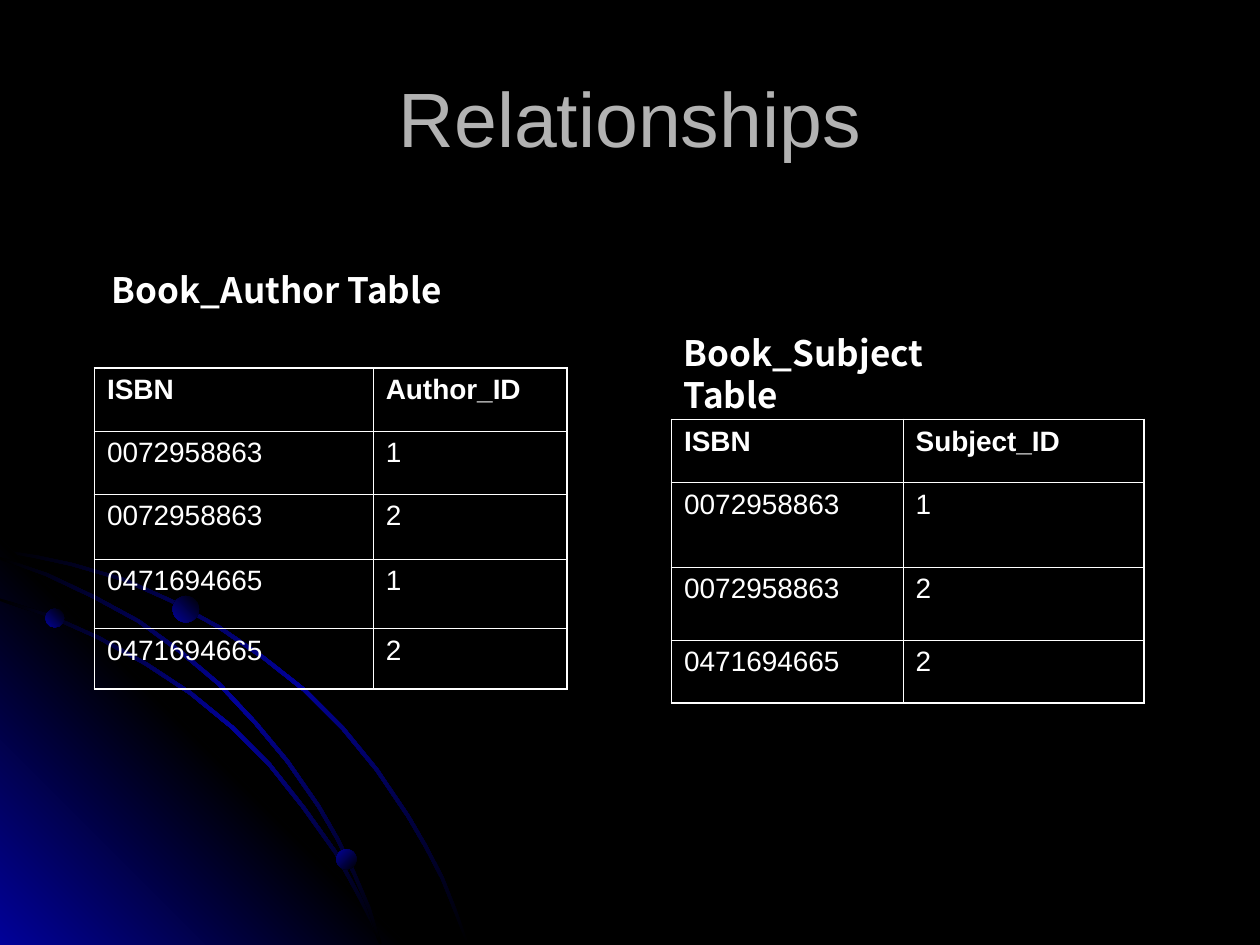
from dataclasses import dataclass
from typing import NamedTuple

from lxml import etree
from pptx import Presentation
from pptx.dml.color import RGBColor
from pptx.enum.shapes import MSO_SHAPE
from pptx.enum.text import MSO_ANCHOR, PP_ALIGN
from pptx.oxml.ns import qn
from pptx.util import Inches, Pt

OVAL = MSO_SHAPE.OVAL
MIDDLE, TOP = MSO_ANCHOR.MIDDLE, MSO_ANCHOR.TOP
CENTER, LEFT = PP_ALIGN.CENTER, PP_ALIGN.LEFT
PAGE_WIDTH, PAGE_HEIGHT = 10, 7.5


@dataclass(frozen=True)
class Theme:
    ground: str = "000000"
    glow: str = "010199"
    title: str = "B2B2B2"
    ink: str = "FFFFFF"
    font: str = "Arial"
    label_font: str = "Noto Sans CJK KR"
    title_size: float = 44
    label_size: float = 20
    label_pitch: float = 24
    cell_size: float = 16
    cell_gap: float = 4
    frame_line: float = 1.08
    grid_line: float = 0.45


THEME = Theme()


class Box(NamedTuple):
    left: float
    top: float
    width: float
    height: float

    def inches(self):
        return [Inches(length) for length in self]


# Lower edge of each arc, measured from the corner of the swoosh
OUTER_ARC = [(0, .11), (.28, .16), (.56, .22), (.97, .34), (1.35, .51),
             (1.73, .72), (2.08, .96), (2.41, 1.22), (2.71, 1.52),
             (2.98, 1.85), (3.23, 2.22), (3.37, 2.46), (3.5, 2.71),
             (3.6, 2.96), (3.7, 3.22)]
INNER_ARC = [(0, .5), (.39, .63), (.77, .8), (1.15, 1.01), (1.5, 1.24),
             (1.83, 1.51), (2.13, 1.81), (2.4, 2.15), (2.65, 2.5),
             (2.85, 2.87), (2.94, 3.05), (3.01, 3.22)]
MIDDLE_ARC = [(0, .17), (.36, .3), (.74, .48), (1.09, .67), (1.42, .91),
              (1.73, 1.17), (2.02, 1.48), (2.27, 1.78), (2.52, 2.14),
              (2.67, 2.4), (2.8, 2.67), (2.92, 2.95), (3.01, 3.22)]
ARC_WIDTH = 0.02
# Left, top, diameter, gradient angle
DOTS = [(.36, .56, .15, 135), (2.67, 2.47, .16, 225), (1.37, .46, .21, 135)]

AUTHOR_ROWS = [("ISBN", "Author_ID"), ("0072958863", "1"), ("0072958863", "2"),
               ("0471694665", "1"), ("0471694665", "2")]
SUBJECT_ROWS = [("ISBN", "Subject_ID"), ("0072958863", "1"),
                ("0072958863", "2"), ("0471694665", "2")]


def add_fill(parent, tag, color):
    fill = etree.SubElement(parent, qn(tag))
    etree.SubElement(fill, qn("a:srgbClr"), val=color)


def paint_gradient(shape, colors, angle):
    """Spread the colours evenly along a clockwise angle, with no outline."""
    shape.shadow.inherit = False
    shape.line.fill.background()
    shape.fill.background()
    empty = shape.element.spPr.find(qn("a:noFill"))
    gradient = etree.Element(qn("a:gradFill"), rotWithShape="1")
    stops = etree.SubElement(gradient, qn("a:gsLst"))
    for index, color in enumerate(colors):
        position = 100000 * index // (len(colors) - 1)
        stop = etree.SubElement(stops, qn("a:gs"), pos=str(position))
        etree.SubElement(stop, qn("a:srgbClr"), val=color)
    etree.SubElement(gradient, qn("a:lin"), ang=str(angle * 60000), scaled="0")
    empty.getparent().replace(empty, gradient)


def add_outline(page, box, points):
    spots = [(Inches(box.left + x), Inches(box.top + y)) for x, y in points]
    builder = page.shapes.build_freeform(*spots[0])
    builder.add_line_segments(spots[1:], close=True)
    return builder.convert_to_shape()


def add_arc(page, box, lower):
    """Draw a thin band whose upper edge is the lower one shifted up and right."""
    upper = [(x + ARC_WIDTH, y - ARC_WIDTH) for x, y in lower[1:-1]]
    start = (lower[0][0], lower[0][1] - ARC_WIDTH)
    end = (lower[-1][0] + ARC_WIDTH, lower[-1][1])
    band = add_outline(page, box, lower + [end] + upper[::-1] + [start])
    paint_gradient(band, [THEME.ground, THEME.glow, THEME.ground], 225)


def add_swoosh(page, box):
    add_arc(page, box, OUTER_ARC)
    side = box.height
    corner = add_outline(page, box, [(0, 0), (side, side), (0, side)])
    paint_gradient(corner, [THEME.glow, THEME.ground, THEME.glow], 135)
    for lower in (INNER_ARC, MIDDLE_ARC):
        add_arc(page, box, lower)
    for x, y, size, angle in DOTS:
        place = Box(box.left + x, box.top + y, size, size)
        dot = page.shapes.add_shape(OVAL, *place.inches())
        paint_gradient(dot, [THEME.ground, THEME.glow], angle)


def add_span(para, text, size, color, font, bold=False):
    span = para.add_run()
    span.text = text
    span.font.size = Pt(size)
    span.font.name = font
    span.font.bold = bold
    span.font.color.rgb = RGBColor.from_string(color)


def add_text_box(page, box, anchor, align):
    """Add a wrapping text box and return its first paragraph."""
    frame = page.shapes.add_textbox(*box.inches()).text_frame
    frame.word_wrap = True
    frame.vertical_anchor = anchor
    para = frame.paragraphs[0]
    para.alignment = align
    return para


def add_title(page, box, text):
    para = add_text_box(page, box, MIDDLE, CENTER)
    add_span(para, text, THEME.title_size, THEME.title, THEME.font)


def add_label(page, box, text):
    para = add_text_box(page, box, TOP, LEFT)
    para.line_spacing = Pt(THEME.label_pitch)
    add_span(para, text, THEME.label_size, THEME.ink, THEME.label_font, True)


def set_borders(cell, framed):
    """Rule all four sides, heavier where the side lies on the table's frame."""
    properties = cell._tc.get_or_add_tcPr()
    for side in "LRTB":
        width = THEME.frame_line if side in framed else THEME.grid_line
        line = etree.SubElement(properties, qn("a:ln" + side), w=str(Pt(width)))
        add_fill(line, "a:solidFill", THEME.ink)


def add_data_table(page, box, rows, column_shares, row_heights):
    last_row, last_column = len(rows) - 1, len(column_shares) - 1
    table = page.shapes.add_table(len(rows), len(column_shares),
                                  *box.inches()).table
    table.first_row = table.horz_banding = False
    for column, share in zip(table.columns, column_shares):
        column.width = Inches(box.width * share)
    for r, (values, height) in enumerate(zip(rows, row_heights)):
        table.rows[r].height = Inches(height)
        for c, value in enumerate(values):
            cell = table.cell(r, c)
            edges = {"L": c == 0, "R": c == last_column,
                     "T": r == 0, "B": r == last_row}
            set_borders(cell, [side for side, outer in edges.items() if outer])
            cell.fill.background()
            para = cell.text_frame.paragraphs[0]
            para.space_before = Pt(THEME.cell_gap)
            add_span(para, value, THEME.cell_size, THEME.ink, THEME.font, r == 0)


def main():
    deck = Presentation()
    deck.slide_width, deck.slide_height = Inches(PAGE_WIDTH), Inches(PAGE_HEIGHT)
    page = deck.slides.add_slide(deck.slide_layouts[6])
    page.background.fill.solid()
    page.background.fill.fore_color.rgb = RGBColor.from_string(THEME.ground)

    add_swoosh(page, Box(0, 4.27, 3.72, 3.23))
    add_title(page, Box(0.5, 0.3, 9, 1.25), "Relationships")
    add_data_table(page, Box(0.75, 2.92, 3.75, 2.55), AUTHOR_ROWS,
                   [0.59, 0.41], [0.5, 0.5, 0.52, 0.55, 0.48])
    add_data_table(page, Box(5.33, 3.33, 3.75, 2.25), SUBJECT_ROWS,
                   [0.49, 0.51], [0.5, 0.67, 0.58, 0.5])
    add_label(page, Box(0.79, 2.08, 2.85, 0.44), "Book_Author Table")
    add_label(page, Box(5.33, 2.58, 2.87, 0.44), "Book_Subject Table")
    deck.save("out.pptx")


if __name__ == "__main__":
    main()
